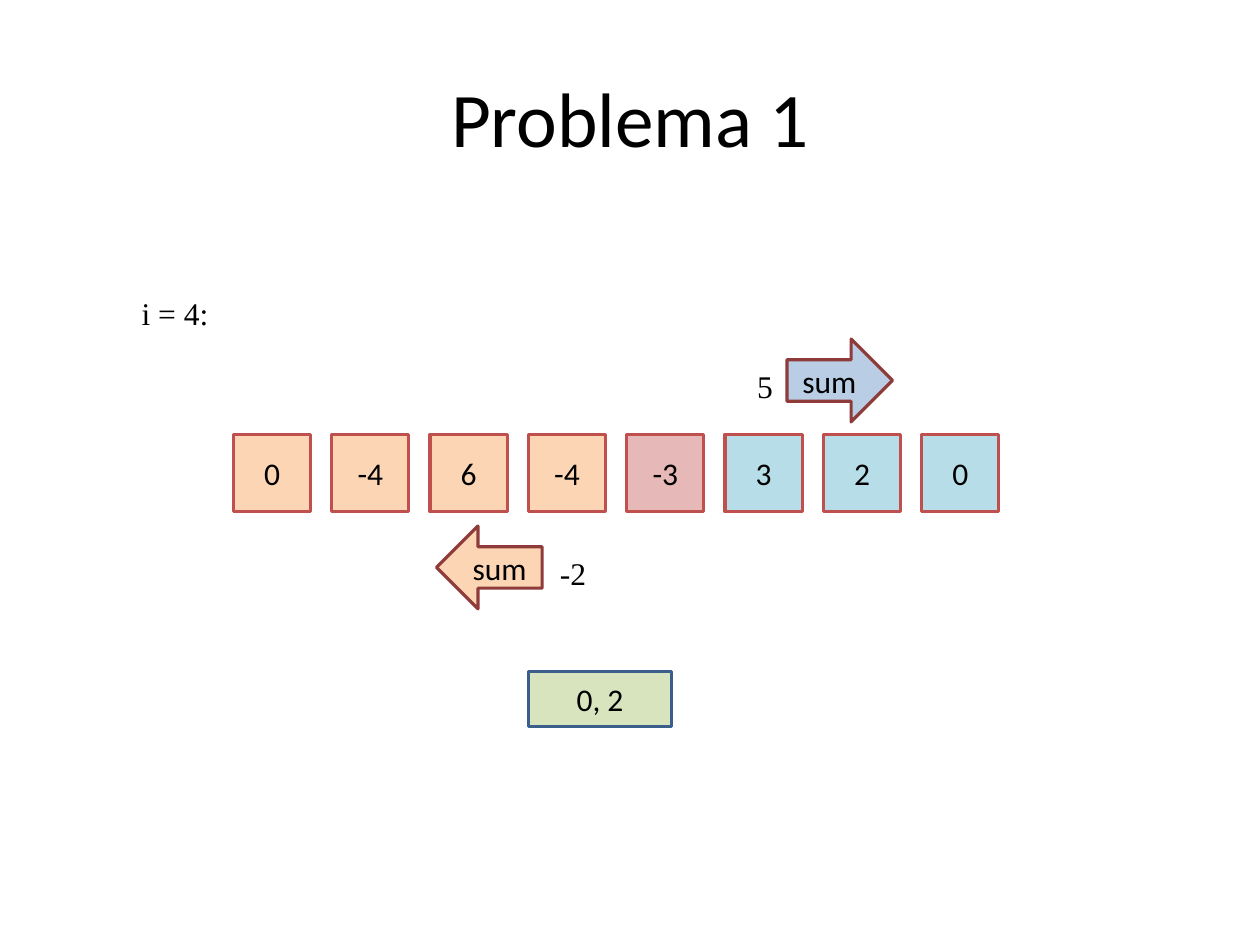
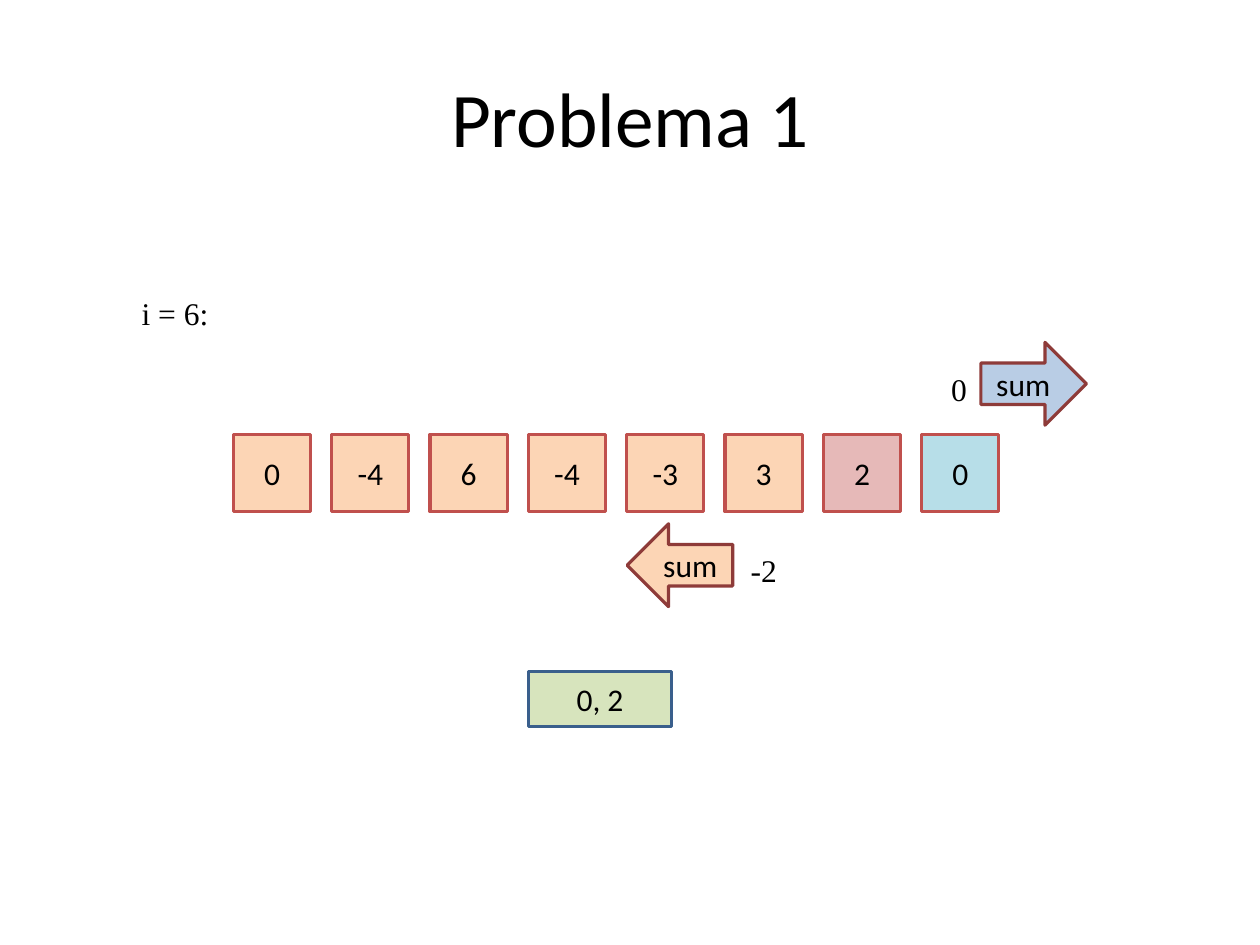
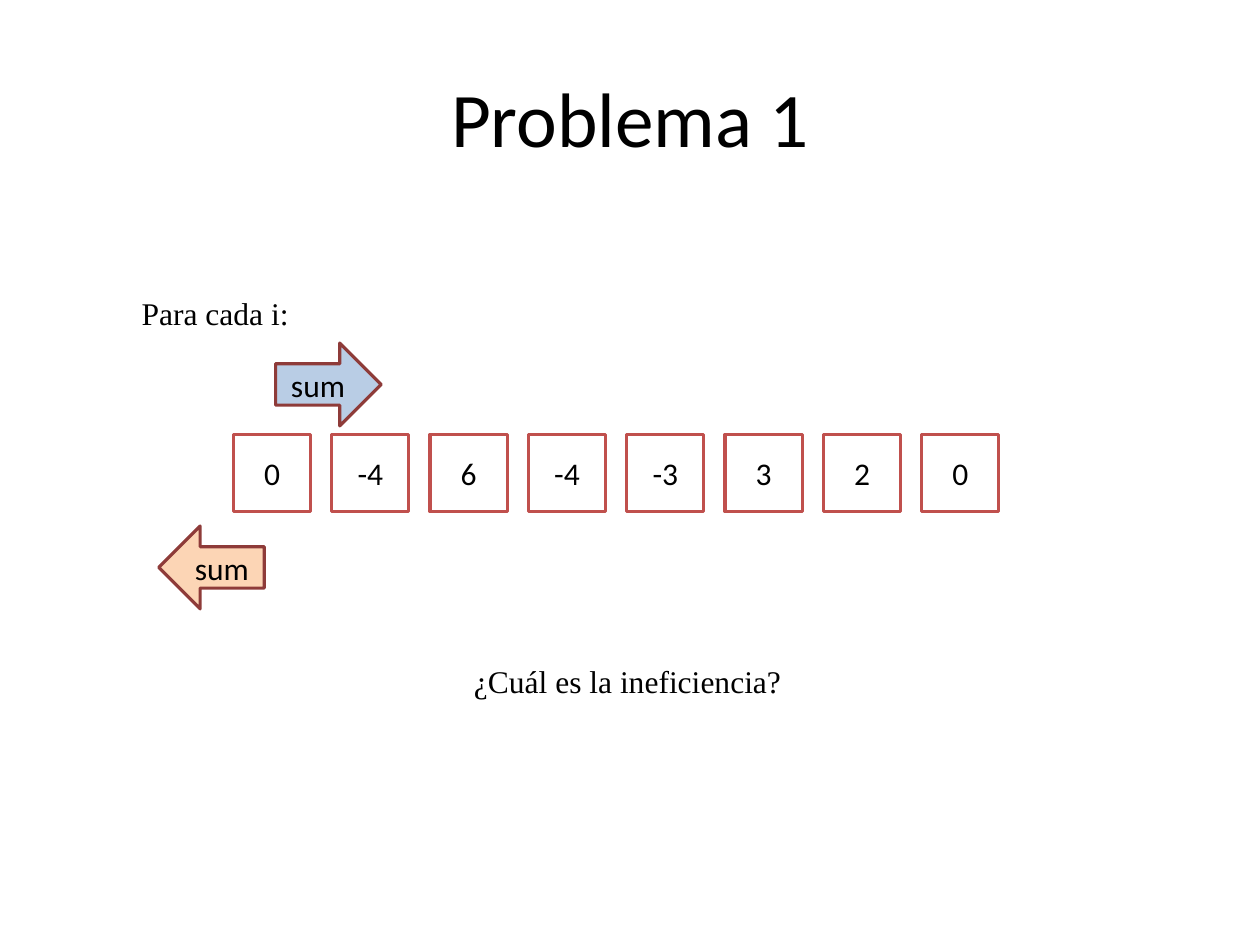
from pptx import Presentation
from pptx import util as u
from pptx.dml import color
from pptx.enum import shapes, text

TITLE = "Problema 1"
VALUES = ["0", "-4", "6", "-4", "-3", "3", "2", "0"]
STEPS = [
    {"caption": ("i = 4:", 57), "index": 4, "right": (499.7, 215.3, "5"),
     "left": (277.2, 334, "-2"), "result": "0, 2"},
    {"caption": ("i = 6:", 57), "index": 6, "right": (622.8, 217.4, "0"),
     "left": (398.2, 332.6, "-2"), "result": "0, 2"},
    {"caption": ("Para cada i:", 108.7), "index": None, "right": (175, 217.8, None),
     "left": (100.8, 334, None), "question": "¿Cuál es la ineficiencia?"},
]

BLACK = "000000"
BEFORE, CURRENT, AFTER = "FCD5B5", "E6B9B8", "B7DEE8"
RIGHT_FILL, RESULT_FILL = "B9CDE5", "D7E4BD"
CELL_LINE, ARROW_LINE, RESULT_LINE = "C0504D", "8E3B39", "3A5F8C"
SANS, SERIF = "Calibri", "Times New Roman"

CELL_LEFT, CELL_TOP, CELL_SIZE, CELL_PITCH = 148.2, 275.8, 49, 62.43
ARROW_WIDTH, ARROW_HEIGHT = 67, 52.6
LABEL_HEIGHT = 31.5


def rgb(value):
    return color.RGBColor.from_string(value)


def points(*lengths):
    return [u.Pt(length) for length in lengths]


def write(shape, content, font_name, size=20, align=text.PP_ALIGN.CENTER):
    paragraph = shape.text_frame.paragraphs[0]
    paragraph.alignment = align
    run = paragraph.add_run()
    run.text = content
    run.font.name = font_name
    run.font.size = u.Pt(size)
    run.font.color.rgb = rgb(BLACK)


def add_title(slide):
    box = slide.shapes.add_textbox(*points(40, 24, 720, 100))
    box.text_frame.word_wrap = True
    box.text_frame.vertical_anchor = text.MSO_ANCHOR.MIDDLE
    write(box, TITLE, SANS, 49)


def add_label(slide, content, left, top, width):
    box = slide.shapes.add_textbox(*points(left, top, width, LABEL_HEIGHT))
    box.text_frame.word_wrap = False
    box.text_frame.auto_size = text.MSO_AUTO_SIZE.SHAPE_TO_FIT_TEXT
    write(box, content, SERIF, align=text.PP_ALIGN.LEFT)


def add_block(slide, kind, content, area, fill, line):
    shape = slide.shapes.add_shape(kind, *points(*area))
    shape.shadow.inherit = False
    if fill:
        shape.fill.solid()
        shape.fill.fore_color.rgb = rgb(fill)
    else:
        shape.fill.background()
    shape.line.color.rgb = rgb(line)
    shape.line.width = u.Pt(2)
    shape.text_frame.vertical_anchor = text.MSO_ANCHOR.MIDDLE
    write(shape, content, SANS)


def cell_fill(position, index):
    if index is None:
        return None
    if position == index:
        return CURRENT
    return BEFORE if position < index else AFTER


def add_cells(slide, index):
    for position, value in enumerate(VALUES):
        area = (CELL_LEFT + position * CELL_PITCH, CELL_TOP, CELL_SIZE, CELL_SIZE)
        add_block(slide, shapes.MSO_SHAPE.RECTANGLE, value, area,
                  cell_fill(position, index), CELL_LINE)


def add_sum(slide, kind, fill, place, label_offset, label_width):
    left, top, total = place
    add_block(slide, kind, "sum", (left, top, ARROW_WIDTH, ARROW_HEIGHT), fill, ARROW_LINE)
    if total:
        add_label(slide, total, left + label_offset, top + 14, label_width)


def add_step(presentation, step):
    slide = presentation.slides.add_slide(presentation.slide_layouts[6])
    add_title(slide)
    add_cells(slide, step["index"])
    caption, width = step["caption"]
    add_label(slide, caption, 82.8, 182.9, width)
    add_sum(slide, shapes.MSO_SHAPE.RIGHT_ARROW, RIGHT_FILL, step["right"], -26, 24.5)
    add_sum(slide, shapes.MSO_SHAPE.LEFT_ARROW, BEFORE, step["left"], 71.3, 31.7)
    if "result" in step:
        add_block(slide, shapes.MSO_SHAPE.RECTANGLE, step["result"],
                  (335.5, 426.2, 91, 35), RESULT_FILL, RESULT_LINE)
    if "question" in step:
        add_label(slide, step["question"], 293.8, 416.9, 211)


def main():
    presentation = Presentation()
    presentation.slide_width, presentation.slide_height = points(800, 600)
    for step in STEPS:
        add_step(presentation, step)
    presentation.save("out.pptx")


if __name__ == "__main__":
    main()
